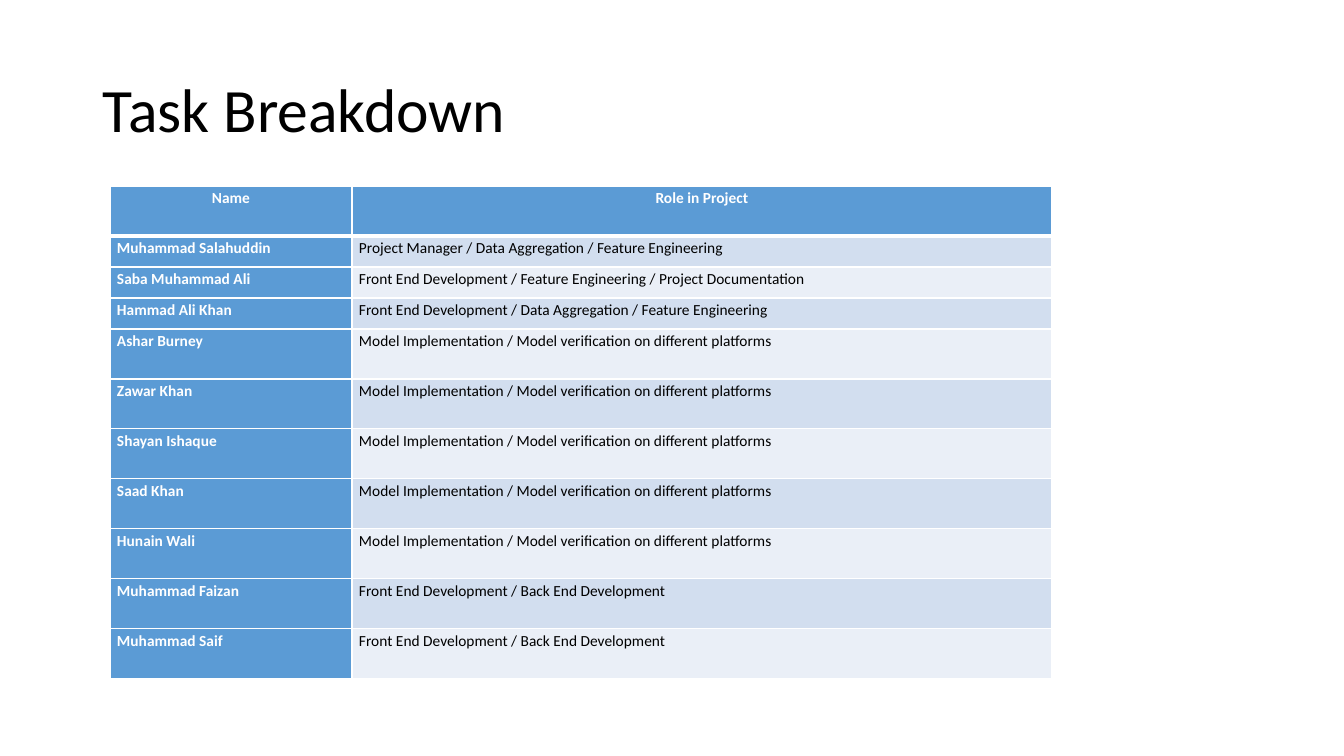
from lxml import etree
from pptx import Presentation
from pptx import util as u
from pptx.dml.color import RGBColor
from pptx.enum import text
from pptx.oxml import ns

PX = 914400 / 100.8
FONT = "Calibri"
WHITE = RGBColor(0xFF, 0xFF, 0xFF)
BLACK = RGBColor(0, 0, 0)
BLUE = RGBColor(0x5B, 0x9B, 0xD5)
BANDS = RGBColor(0xD2, 0xDE, 0xEF), RGBColor(0xEA, 0xEF, 0xF7)

MODEL = "Model Implementation / Model verification on different platforms"
ENDS = "Front End Development / Back End Development"
HEAD = ("Name", "Role in Project")
TEAM = [
    ("Muhammad Salahuddin", "Project Manager / Data Aggregation / Feature Engineering"),
    ("Saba Muhammad Ali", "Front End Development / Feature Engineering / Project Documentation"),
    ("Hammad Ali Khan", "Front End Development / Data Aggregation / Feature Engineering"),
    ("Ashar Burney", MODEL),
    ("Zawar Khan", MODEL),
    ("Shayan Ishaque", MODEL),
    ("Saad Khan", MODEL),
    ("Hunain Wali", MODEL),
    ("Muhammad Faizan", ENDS),
    ("Muhammad Saif", ENDS),
]
COLS = (242, 700)
TALL, LOW = 50, 31
LOW_ROWS = range(1, 4)


def px(n):
    return u.Emu(round(n * PX))


def style(para, size, color, bold=False):
    font = para.font
    font.name, font.size, font.bold = FONT, u.Pt(size), bold
    font.color.rgb = color


def add_title(slide, words):
    box = slide.shapes.add_textbox(px(93), px(40), px(1159), px(146))
    frame = box.text_frame
    frame.word_wrap = True
    frame.vertical_anchor = text.MSO_ANCHOR.MIDDLE
    para = frame.paragraphs[0]
    para.text = words
    para.line_spacing = 0.9
    style(para, 44, BLACK)


def add_edges(cell, row):
    """Draw white cell borders, thick between the header and the body."""
    props = cell._tc.get_or_add_tcPr()
    for side in "LRTB":
        thick = (row, side) in ((0, "B"), (1, "T"))
        line = etree.SubElement(props, ns.qn(f"a:ln{side}"), w=str(u.Pt(3 if thick else 1)))
        fill = etree.SubElement(line, ns.qn("a:solidFill"))
        etree.SubElement(fill, ns.qn("a:srgbClr"), val=str(WHITE))


def fill_cell(cell, words, row, col):
    key = row == 0 or col == 0
    cell.margin_left = cell.margin_right = px(7)
    cell.margin_top = cell.margin_bottom = 0
    add_edges(cell, row)
    cell.fill.solid()
    cell.fill.fore_color.rgb = BLUE if key else BANDS[(row - 1) % 2]
    para = cell.text_frame.paragraphs[0]
    para.text = words
    para.line_spacing = 1.15
    para.space_after = u.Pt(10)
    para.alignment = text.PP_ALIGN.CENTER if row == 0 else text.PP_ALIGN.LEFT
    style(para, 11, WHITE if key else BLACK, key)


def add_roles(slide, rows):
    highs = [LOW if i in LOW_ROWS else TALL for i in range(len(rows))]
    frame = slide.shapes.add_table(len(rows), len(COLS), px(110), px(186),
                                   px(sum(COLS)), px(sum(highs)))
    table = frame.table
    table.first_col = True
    for col, wide in zip(table.columns, COLS):
        col.width = px(wide)
    for i, (row, high) in enumerate(zip(rows, highs)):
        table.rows[i].height = px(high)
        for j, words in enumerate(row):
            fill_cell(table.cell(i, j), words, i, j)


def main():
    deck = Presentation()
    deck.slide_width, deck.slide_height = px(1344), px(756)
    slide = deck.slides.add_slide(deck.slide_layouts[6])
    add_title(slide, "Task Breakdown")
    add_roles(slide, [HEAD, *TEAM])
    deck.save("out.pptx")


if __name__ == "__main__":
    main()
